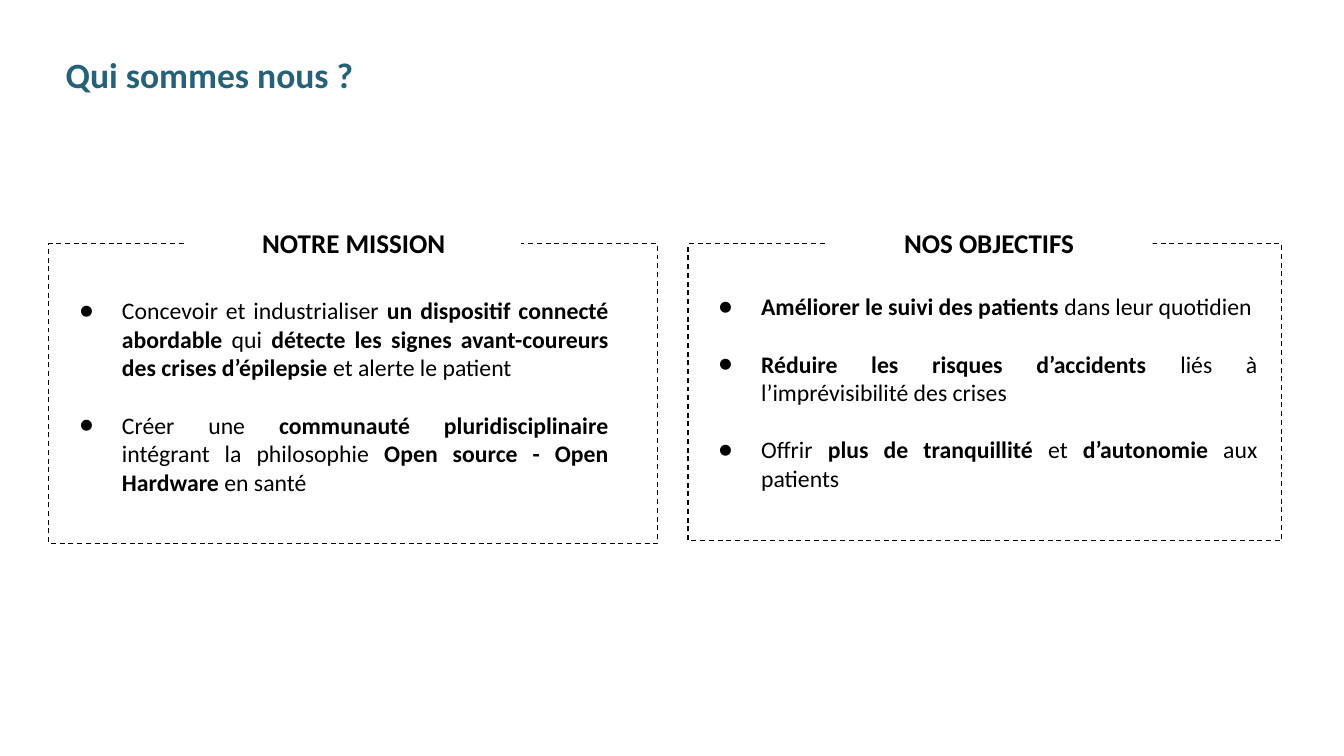
from lxml import etree
from pptx import Presentation
from pptx.dml.color import RGBColor
from pptx.enum import dml, shapes, text
from pptx.oxml.ns import qn
from pptx.util import Pt

HEX = {"title": "26617A", "ink": "000000", "paper": "FFFFFF"}
TITLE = "Qui sommes nous ?"
CARDS = [
    {"head": "NOTRE MISSION", "tab": (110.2, 126.7, 197.3, 29.5),
     "box": (28.8, 144, 359.3, 177.1), "pad": (7.2, 9.6, 28.8, 7.2),
     "items": ["Concevoir et industrialiser **un dispositif connecté abordable** qui "
               "**détecte les signes avant-coureurs des crises d’épilepsie **et alerte le patient",
               "Créer une **communauté pluridisciplinaire** intégrant la philosophie "
               "**Open source - Open Hardware **en santé"]},
    {"head": "NOS OBJECTIFS", "tab": (487.4, 126.7, 193, 29.5),
     "box": (406.1, 144, 350.6, 175), "pad": (7.2, 7.2, 14.4, 7.2),
     "items": ["**Améliorer le suivi des patients **dans leur quotidien",
               "**Réduire les risques d’accidents **liés à l’imprévisibilité des crises",
               "Offrir **plus de tranquillité** et **d’autonomie** aux patients"]},
]
GAP = 17.1
SIDES = ("left", "top", "width", "height")
PADS = ("margin_left", "margin_top", "margin_right", "margin_bottom")
MID, TOP = text.MSO_ANCHOR.MIDDLE, text.MSO_ANCHOR.TOP
ALIGN = text.PP_ALIGN


def apply(obj, vals):
    for key, val in vals.items():
        setattr(obj, key, val)


def color(name):
    return RGBColor.from_string(HEX[name])


def frame(shape, box, pad, anchor):
    apply(shape, dict(zip(SIDES, map(Pt, box))))
    apply(shape.text_frame, dict(zip(PADS, map(Pt, pad))))
    apply(shape.text_frame, {"word_wrap": True, "vertical_anchor": anchor,
                             "auto_size": text.MSO_AUTO_SIZE.NONE})
    return shape.text_frame


def write(para, words, size, ink, align, bold=False, **form):
    apply(para, {"alignment": align, "line_spacing": 1.0, "space_before": Pt(0), **form})
    for num, part in enumerate(words.split("**")):
        if part:
            run = para.add_run()
            run.text = part
            apply(run.font, {"name": "Calibri", "size": Pt(size),
                             "bold": bold or num % 2 == 1})
            run.font.color.rgb = color(ink)


def bullet(para):
    props = para._p.get_or_add_pPr()
    props.set("marL", str(Pt(36)))
    props.set("indent", str(Pt(-25.2)))
    tint = etree.SubElement(props, qn("a:buClr"))
    etree.SubElement(tint, qn("a:srgbClr"), val=HEX["ink"])
    etree.SubElement(props, qn("a:buFont"), typeface="Calibri")
    etree.SubElement(props, qn("a:buChar"), char="●")


def main():
    deck = Presentation()
    apply(deck, {"slide_width": Pt(793.4), "slide_height": Pt(446.4)})
    slide = deck.slides.add_slide(deck.slide_layouts[3])
    for mark in list(slide.placeholders)[3:]:
        mark.element.getparent().remove(mark.element)

    area = frame(slide.shapes.title, (33.8, 30.2, 705.6, 31), (5, 2.9, 5, 2.9), MID)
    write(area.paragraphs[0], TITLE, 21, "title", ALIGN.LEFT, True, line_spacing=0.9)

    for num, card in enumerate(CARDS, 1):
        body = slide.placeholders[num]
        area = frame(body, card["box"], card["pad"], MID)
        body.line.color.rgb = color("ink")
        apply(body.line, {"width": Pt(0.75), "dash_style": dml.MSO_LINE.DASH})
        for row, item in enumerate(card["items"]):
            para = area.add_paragraph() if row else area.paragraphs[0]
            bullet(para)
            write(para, item, 14, "ink", ALIGN.JUSTIFY, space_before=Pt(GAP if row else 0))

        tab = slide.shapes.add_shape(shapes.MSO_SHAPE.RECTANGLE, *map(Pt, card["tab"]))
        tab.shadow.inherit = False
        tab.fill.solid()
        tab.fill.fore_color.rgb = color("paper")
        tab.line.fill.background()
        area = frame(tab, card["tab"], (7.2,) * 4, TOP)
        write(area.paragraphs[0], card["head"], 16, "ink", ALIGN.CENTER, True)

    deck.save("out.pptx")


if __name__ == "__main__":
    main()
